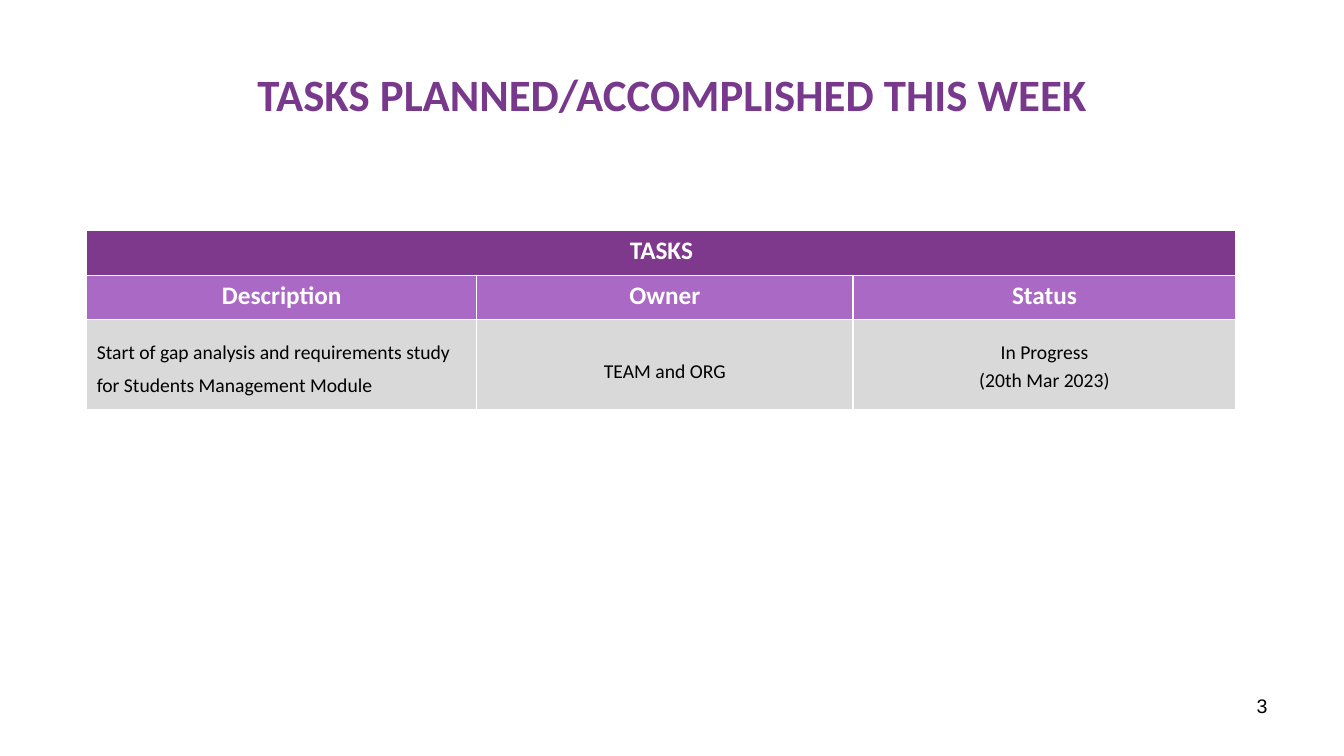
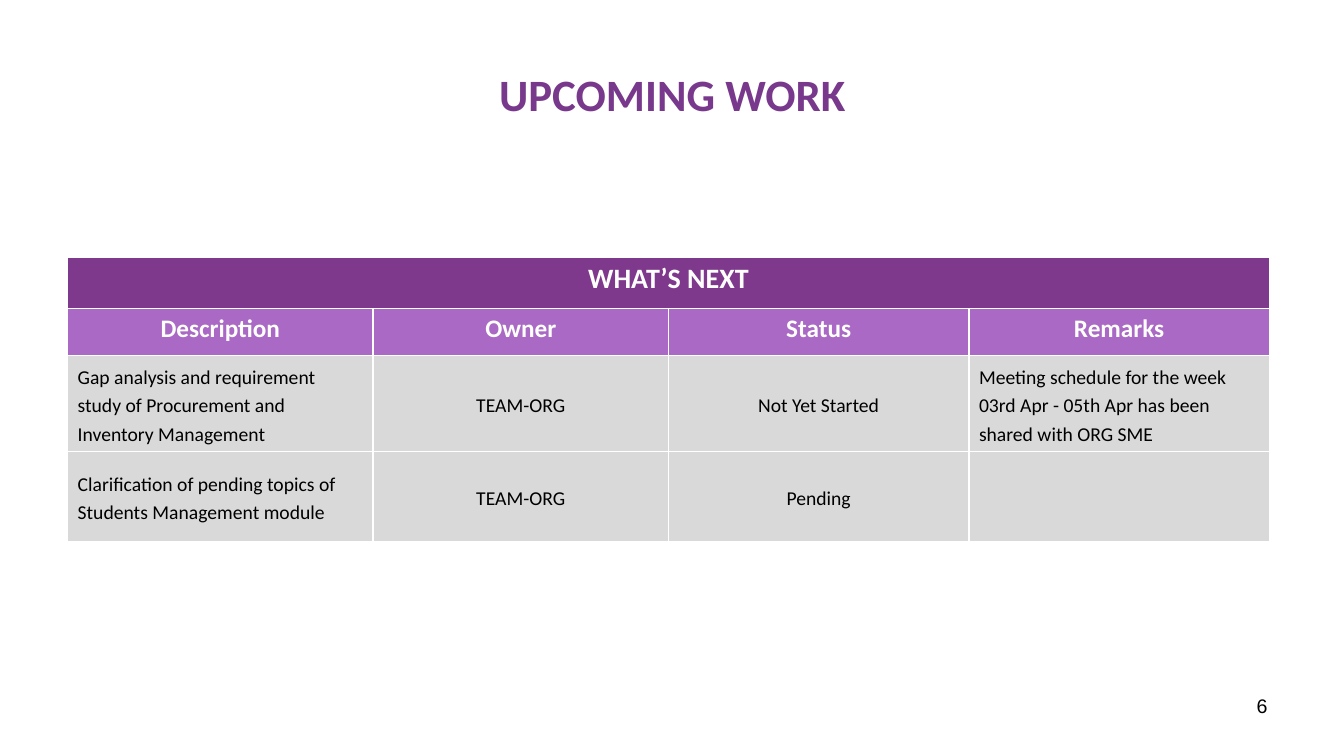
"""Build two weekly status slides, each with a title, a task table and a page number."""
from lxml import etree
from pptx import Presentation
from pptx.dml.color import RGBColor
from pptx.enum import text
from pptx.oxml import ns

PX = 9144
PURPLE, BAND, HEAD, BODY = "78398D", "7F398C", "A969C4", "D9D9D9"
WHITE, BLACK = "FFFFFF", "000000"
LEFT, CENTER, RIGHT = text.PP_ALIGN.LEFT, text.PP_ALIGN.CENTER, text.PP_ALIGN.RIGHT
TOP, MIDDLE = text.MSO_ANCHOR.TOP, text.MSO_ANCHOR.MIDDLE

TITLE_BOX = (67, 30, 1200, 125)
NUMBER_BOX = (956, 683, 311, 52)
TITLE = dict(size=32, color=PURPLE, bold=True, align=CENTER)
NUMBER = dict(name="Arial", size=14, align=RIGHT)
HEADER = dict(size=18, color=WHITE, bold=True, align=CENTER)

SLIDES = [
    dict(
        title="TASKS PLANNED/ACCOMPLISHED THIS WEEK", number="3",
        at=(86, 229), cols=[387, 373, 380], rows=[44, 44, 89],
        band="TASKS", band_size=18,
        heads=["Description", "Owner", "Status"],
        spacing=[1.4, 1.6, 1.2], aligns=[LEFT, CENTER, CENTER],
        tasks=[["Start of gap analysis and requirements study for Students Management Module",
                "TEAM and ORG", "In Progress\n(20th Mar 2023)"]],
    ),
    dict(
        title="UPCOMING WORK", number="6",
        at=(67, 255), cols=[303, 293, 298, 298], rows=[51, 47, 74, 89],
        band="WHAT’S NEXT", band_size=20,
        heads=["Description", "Owner", "Status", "Remarks"],
        spacing=[1.2] * 4, aligns=[LEFT, CENTER, CENTER, LEFT],
        tasks=[["Gap analysis and requirement study of Procurement and Inventory Management",
                "TEAM-ORG", "Not Yet Started",
                "Meeting schedule for the week 03rd Apr - 05th Apr has been shared with ORG SME"],
               ["Clarification of pending topics of Students Management module",
                "TEAM-ORG", "Pending", ""]],
    ),
]


def px(*lengths):
    return [n * PX for n in lengths]


def rgb(color):
    return RGBColor.from_string(color)


def write(tf, content, size, name="Calibri", color=BLACK, bold=False, align=LEFT, spacing=1.0):
    tf.text = content
    for p in tf.paragraphs:
        p.alignment, p.line_spacing = align, spacing
        for r in p.runs:
            for key, value in dict(name=name, size=size * 12700, bold=bold).items():
                setattr(r.font, key, value)
            r.font.color.rgb = rgb(color)


def fill_cell(cell, content, fill, anchor=TOP, **style):
    tcPr = cell._tc.get_or_add_tcPr()
    for side in ("lnL", "lnR", "lnT", "lnB"):
        ln = etree.SubElement(tcPr, ns.qn(f"a:{side}"), w="12700")
        solid = etree.SubElement(ln, ns.qn("a:solidFill"))
        etree.SubElement(solid, ns.qn("a:srgbClr"), val=WHITE)
    cell.fill.solid()
    cell.fill.fore_color.rgb = rgb(fill)
    cell.vertical_anchor = anchor
    write(cell.text_frame, content, **style)


def add_tasks(s, data):
    cols, rows = data["cols"], data["rows"]
    table = s.shapes.add_table(len(rows), len(cols),
                               *px(*data["at"], sum(cols), sum(rows))).table
    table.first_row = table.horz_banding = False
    for lines, lengths, side in ((table.columns, cols, "width"), (table.rows, rows, "height")):
        for line, length in zip(lines, px(*lengths)):
            setattr(line, side, length)
    for c, head in enumerate(data["heads"]):
        band = data["band"] if c == 0 else ""
        fill_cell(table.cell(0, c), band, BAND, **{**HEADER, "size": data["band_size"]})
        fill_cell(table.cell(1, c), head, HEAD, **HEADER)
        for r, task in enumerate(data["tasks"], 2):
            fill_cell(table.cell(r, c), task[c], BODY, MIDDLE, size=14,
                      align=data["aligns"][c], spacing=data["spacing"][c])
    table.cell(0, 0).merge(table.cell(0, len(cols) - 1))


def add_slide(prs, data):
    s = prs.slides.add_slide(prs.slide_layouts[5])
    sp = s.shapes.title
    sp.left, sp.top, sp.width, sp.height = px(*TITLE_BOX)
    tf = sp.text_frame
    tf.auto_size, tf.vertical_anchor = text.MSO_AUTO_SIZE.NONE, MIDDLE
    write(tf, data["title"], **TITLE)
    add_tasks(s, data)
    tf = s.shapes.add_textbox(*px(*NUMBER_BOX)).text_frame
    tf.word_wrap = True
    write(tf, data["number"], **NUMBER)


def main():
    prs = Presentation()
    prs.slide_width, prs.slide_height = px(1333, 750)
    for data in SLIDES:
        add_slide(prs, data)
    prs.save("out.pptx")


if __name__ == "__main__":
    main()
